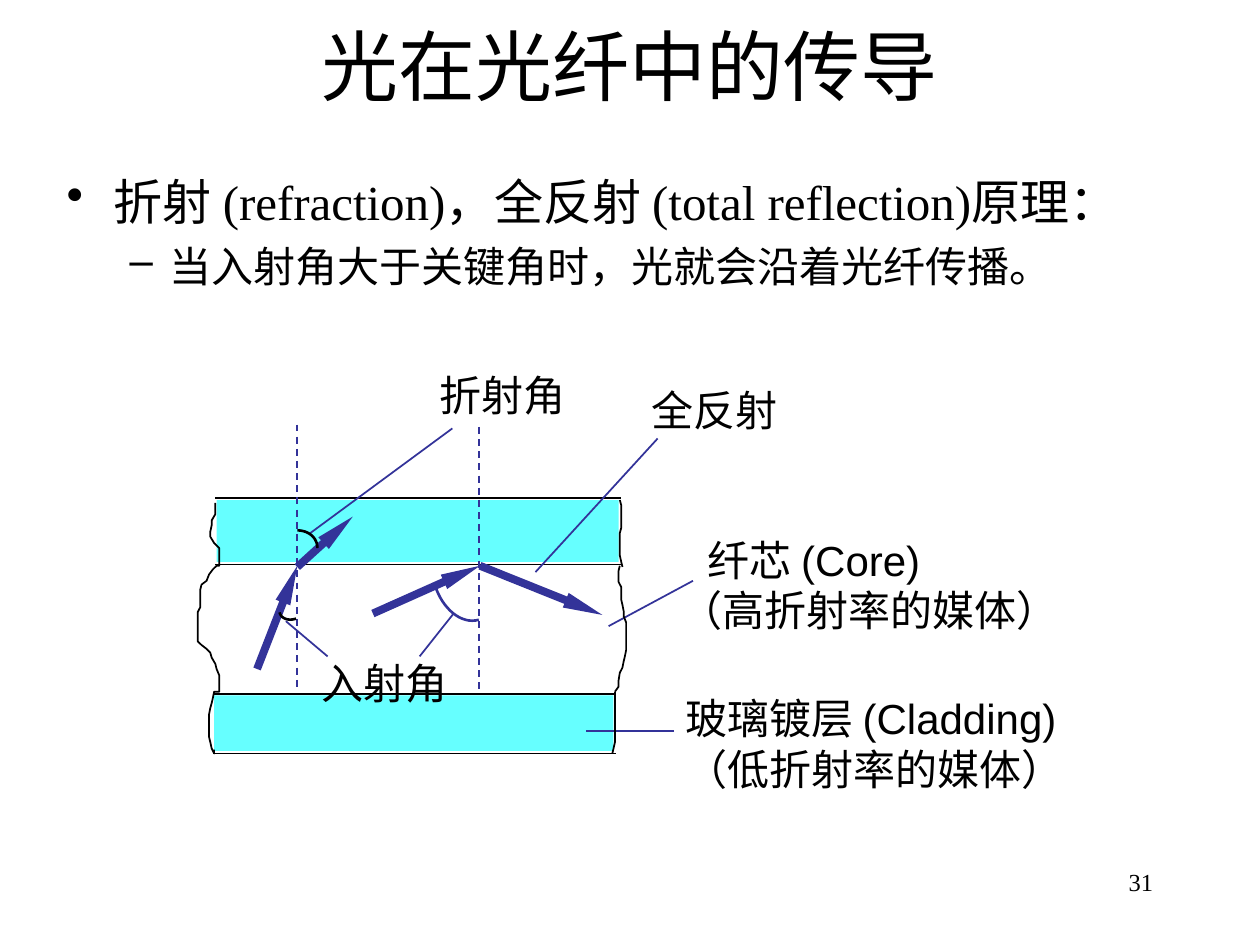
from dataclasses import dataclass

from lxml import etree
from pptx import Presentation
from pptx import util as u
from pptx.dml.color import RGBColor
from pptx.enum import dml, shapes, text
from pptx.oxml import ns

COLORS = {"ink": "000000", "ray": "333399", "cladding": "66FFFF"}
SERIF, SANS, CJK = "Times New Roman", "Arial", "Noto Sans CJK SC"
Point = tuple[float, float]


@dataclass
class Line:
    start: Point
    end: Point
    color: str = "ray"
    width: float = 1
    dashed: bool = False
    arrow: bool = False


@dataclass
class Band:
    left: float
    right: float
    top: float
    bottom: float
    fill: tuple[float, float, float, float]


@dataclass
class Arc:
    start: Point
    control_a: Point
    control_b: Point
    end: Point
    color: str = "ink"


BANDS = [
    Band(122.9, 355, 284.4, 322.56, (123.8, 285.8, 229.7, 35.3)),
    Band(122.4, 352, 396.7, 430.6, (122.4, 397.4, 228.2, 31.7)),
]
NORMALS = [
    Line((169.9, 242.6), (169.9, 394.6), dashed=True),
    Line((273.6, 244), (273.6, 396.7), dashed=True),
]
RAYS = [
    Line(start, end, width=4.5, arrow=True)
    for start, end in [
        ((169.9, 324), (201.6, 295.2)),
        ((146.9, 382.3), (169.9, 323.3)),
        ((213.1, 350.6), (274.3, 323.3)),
        ((274.3, 323.3), (344.2, 351.4)),
    ]
]
LEADERS = [
    Line((176.4, 305.3), (258.5, 244.8)),
    Line((163.4, 355), (187.2, 375.1)),
    Line((239.8, 375.1), (259.2, 350.6)),
    Line((347.8, 357.8), (396, 331.9)),
    Line((375.8, 250.6), (306, 326.9)),
    Line((385.2, 417.6), (334.8, 417.6)),
]
ARCS = [
    Arc((169.2, 353.5), (164.9, 355), (160.6, 353.5), (159.8, 349.9)),
    Arc((169.9, 303.1), (176.4, 303.1), (181.4, 307.4), (181.4, 313.2)),
    Arc((273.6, 354.2), (263.5, 357.1), (252.7, 347.8), (248.4, 334.1), "ray"),
]
LEFT_EDGE = [
    (123.1, 287.3), (123.1, 293.8), (121, 297.4), (121, 300.2), (120.2, 303.8),
    (120.2, 306.7), (122.4, 310.3), (125.3, 313.2), (125.3, 323.3), (123.8, 323.3),
    (121.7, 325.4), (119.5, 328.3), (118.1, 331.9), (115.2, 334.1), (114.5, 337),
    (114.5, 347), (113, 349.9), (113, 366.5), (115.2, 368.6), (118.1, 370.8),
    (120.2, 373), (121, 375.8), (123.1, 379.4), (123.8, 382.3), (125.3, 385.9),
    (125.3, 395.3), (122.4, 395.3), (121.7, 398.9), (121, 401.8), (120.2, 404.6),
    (119.5, 408.2), (119.5, 421.2), (120.2, 424.1), (121, 427.7), (122.4, 430.6),
    (122.4, 428.4),
]
RIGHT_EDGES = [
    [(354.2, 285.8), (355, 288.7), (355, 301.7), (354.2, 304.6), (354.2, 317.5),
     (355, 321.1), (355.7, 324)],
    [(354.2, 323.3), (353.5, 326.2), (353.5, 332.6), (355, 335.5), (355, 342.7),
     (355.7, 345.6), (356.4, 349.2), (356.4, 352.1), (357.8, 355.7), (357.8, 371.5),
     (357.1, 375.1), (356.4, 378), (355.7, 381.6), (354.2, 384.5), (353.5, 388.8),
     (353.5, 392.4), (351.4, 395.3)],
    [(351.4, 395.3), (351.4, 424.1), (350.6, 427.7), (349.9, 430.6)],
]


def rgb(name: str) -> RGBColor:
    return RGBColor.from_string(COLORS[name])


def add_child(parent, tag: str, **attributes: str):
    return etree.SubElement(parent, ns.qn(tag), attributes)


def draw_line(page, line: Line) -> None:
    ends = [u.Pt(value) for value in (*line.start, *line.end)]
    connector = page.shapes.add_connector(shapes.MSO_CONNECTOR.STRAIGHT, *ends)
    connector.line.color.rgb = rgb(line.color)
    connector.line.width = u.Pt(line.width)
    if line.dashed:
        connector.line.dash_style = dml.MSO_LINE.DASH
    if line.arrow:
        outline = connector.line._get_or_add_ln()
        add_child(outline, "a:tailEnd", type="triangle", w="sm", len="lg")
    add_child(connector._element.spPr, "a:effectLst")


def draw_band(page, band: Band) -> None:
    for y in (band.top, band.bottom):
        draw_line(page, Line((band.left, y), (band.right, y), "ink"))
    box = page.shapes.add_shape(
        shapes.MSO_SHAPE.RECTANGLE, *[u.Pt(value) for value in band.fill])
    box.shadow.inherit = False
    box.fill.solid()
    box.fill.fore_color.rgb = rgb("cladding")
    box.line.fill.background()


def draw_outline(page, points: list[Point], color: str = "ink", width: float = 1) -> None:
    start, *rest = [(u.Pt(x), u.Pt(y)) for x, y in points]
    builder = page.shapes.build_freeform(*start)
    builder.add_line_segments(rest, close=False)
    outline = builder.convert_to_shape()
    outline.shadow.inherit = False
    outline.fill.background()
    outline.line.color.rgb = rgb(color)
    outline.line.width = u.Pt(width)


def draw_arc(page, arc: Arc, steps: int = 16) -> None:
    """Draw a cubic Bézier curve as short straight segments."""
    axes = list(zip(arc.start, arc.control_a, arc.control_b, arc.end))
    points = []
    for step in range(steps + 1):
        t = step / steps
        weights = ((1 - t) ** 3, 3 * t * (1 - t) ** 2, 3 * t * t * (1 - t), t ** 3)
        x, y = (sum(w * value for w, value in zip(weights, axis)) for axis in axes)
        points.append((x, y))
    draw_outline(page, points, arc.color, 1.5)


def add_box(page, left: float, top: float, width: float, height: float, wrap: bool = True):
    box = page.shapes.add_textbox(*[u.Pt(value) for value in (left, top, width, height)])
    box.text_frame.word_wrap = wrap
    return box.text_frame


def write(frame, words: str, *, size: float = 24, font: str = SANS, align: str = "LEFT",
          bullet: str = "", margin: float = 0, indent: float = 0, before: float = 0) -> None:
    """Fill the first paragraph of the frame if it is empty, else add one."""
    para = frame.paragraphs[0] if not frame.text else frame.add_paragraph()
    para.alignment = getattr(text.PP_ALIGN, align)
    if before:
        para.space_before = u.Pt(before)
    properties = para._p.get_or_add_pPr()
    properties.set("marL", str(u.Pt(margin)))
    properties.set("indent", str(u.Pt(indent)))
    if bullet:
        add_child(add_child(properties, "a:buClr"), "a:srgbClr", val=COLORS["ink"])
        add_child(properties, "a:buChar", char=bullet)
    span = para.add_run()
    span.text = words
    span.font.size = u.Pt(size)
    span.font.name = font
    span.font.color.rgb = rgb("ink")
    add_child(span._r.get_or_add_rPr(), "a:ea", typeface=CJK)


def main() -> None:
    deck = Presentation()
    deck.slide_width, deck.slide_height = u.Pt(720), u.Pt(540)
    page = deck.slides.add_slide(deck.slide_layouts[6])

    title = add_box(page, 54, 3.6, 612, 66.24)
    title.vertical_anchor = text.MSO_ANCHOR.MIDDLE
    write(title, "光在光纤中的传导", size=44, font=SERIF, align="CENTER")
    body = add_box(page, 31, 94.3, 668.9, 96.5)
    write(body, "折射 (refraction)，全反射 (total reflection)原理：", size=28, font=SERIF,
          bullet="•", margin=27, indent=-27)
    write(body, "当入射角大于关键角时，光就会沿着光纤传播。", font=SERIF,
          bullet="–", margin=58.5, indent=-22.5, before=6)

    for band in BANDS:
        draw_band(page, band)
    for line in NORMALS + RAYS + LEADERS:
        draw_line(page, line)
    for arc in ARCS:
        draw_arc(page, arc)
    for edge in [LEFT_EDGE, *RIGHT_EDGES]:
        draw_outline(page, edge)

    for words, left, top in [("折射角", 244, 207.4), ("入射角", 176.4, 372.2),
                             ("全反射", 365, 216)]:
        write(add_box(page, left, top, 86.4, 36, wrap=False), words)
    cladding = add_box(page, 384.5, 392.4, 231.8, 64.8, wrap=False)
    write(cladding, "玻璃镀层 (Cladding)")
    write(cladding, "（低折射率的媒体）")
    core = add_box(page, 381.6, 301.7, 250.6, 93.6)
    write(core, "纤芯 (Core)", margin=15.8)
    write(core, "（高折射率的媒体）")
    write(add_box(page, 516.2, 491.8, 149.8, 36), "31", size=14, font=SERIF, align="RIGHT")
    deck.save("out.pptx")


if __name__ == "__main__":
    main()
